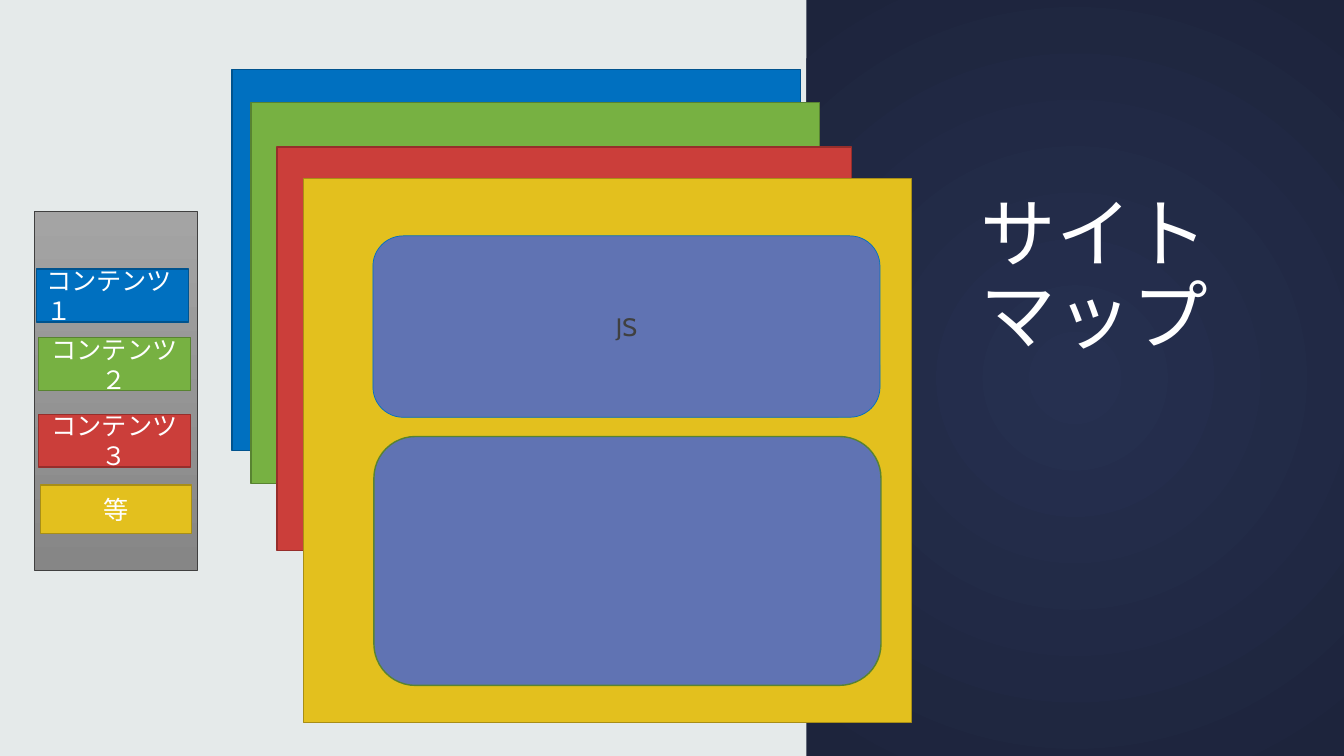
from lxml.etree import SubElement
from pptx import Presentation
from pptx.dml.color import RGBColor
from pptx.enum.lang import MSO_LANGUAGE_ID as Lang
from pptx.enum.shapes import MSO_SHAPE as Shape
from pptx.enum.text import MSO_ANCHOR as Anchor, MSO_AUTO_SIZE as Fit, PP_ALIGN as Align
from pptx.oxml.ns import qn
from pptx.util import Pt

rgb = RGBColor.from_string


def draw(kind, box, fill, edge=None, width=1, text="", ink="FFFFFF", align=Align.CENTER):
    """Add a shape; a list as fill means top-to-bottom gradient colours."""
    item = slide.shapes.add_shape(kind, *map(Pt, box))
    item.shadow.inherit = False
    if isinstance(fill, list):
        item.fill.gradient()
        item.fill.gradient_angle = 270
        for stop, tone in zip(item.fill.gradient_stops, fill):
            stop.color.rgb = rgb(tone)
    else:
        item.fill.solid()
        item.fill.fore_color.rgb = rgb(fill)
    if edge:
        item.line.color.rgb = rgb(edge)
        item.line.width = Pt(width)
    else:
        item.line.fill.background()
    if text:
        item.text_frame.text = text
        style(item.text_frame.paragraphs[0], "Cabin", 18, ink, align)
    return item


def style(para, face, size, ink, align):
    para.alignment = align
    font = para.font
    font.name, font.size, font.color.rgb = face, Pt(size), rgb(ink)
    font.language_id = Lang.JAPANESE


deck = Presentation()
deck.slide_width, deck.slide_height = Pt(960), Pt(540)
slide = deck.slides.add_slide(deck.slide_layouts[5])
slide.background.fill.solid()
slide.background.fill.fore_color.rgb = rgb("E5EAEA")

# Dark side panel with a radial gradient, behind the title
panel = draw(Shape.RECTANGLE, (576, 0, 384, 540), ["263050", "1D243C"])
grad = panel.element.spPr.find(qn("a:gradFill"))
grad.remove(grad.find(qn("a:lin")))
ring = SubElement(grad, qn("a:path"), path="circle")
SubElement(ring, qn("a:fillToRect"), l="50000", t="50000", r="50000", b="50000")
title = slide.shapes.title
title.element.addprevious(panel.element)

title.left, title.top, title.width, title.height = map(Pt, (693.4, 121, 257, 139.7))
frame = title.text_frame
frame.text = "サイトマップ"
frame.word_wrap, frame.auto_size = True, Fit.NONE
frame.vertical_anchor = Anchor.BOTTOM
head = frame.paragraphs[0]
head.line_spacing = 0.9
style(head, "Noto Sans CJK JP", 54, "FFFFFF", Align.LEFT)

# Menu buttons share their colours with the stacked pages
draw(Shape.RECTANGLE, (24.5, 151.2, 116.6, 256.3), ["A4A4A4", "868686"], "404040", 0.5)
themes = [
    ("コンテンツ１", "0070C0", "00538E", Align.LEFT,
     (25.9, 192.2, 108.7, 37.8), (165.6, 49.7, 406, 272.2)),
    ("コンテンツ２", "77B142", "588331", Align.CENTER,
     (27.4, 241.2, 108.7, 37.8), (179.3, 73.4, 406, 272.2)),
    ("コンテンツ３", "CB3E3A", "962E2B", Align.CENTER,
     (27.4, 295.9, 108.7, 37.8), (198, 105.1, 410.4, 288)),
    ("等", "E3C01E", "A88E16", Align.CENTER,
     (28.8, 346.3, 108, 34.6), (216.7, 127.4, 434.2, 388.8)),
]
for label, fill, edge, align, button, page in themes:
    draw(Shape.RECTANGLE, button, fill, edge, text=label, align=align)
for label, fill, edge, align, button, page in themes:
    draw(Shape.RECTANGLE, page, fill, edge)

# Blocks on the front page
draw(Shape.ROUNDED_RECTANGLE, (266.4, 168.5, 362.2, 129.6), "6073B3", "0070C0", 0.5, "JS", "404040")
draw(Shape.ROUNDED_RECTANGLE, (267.1, 311.8, 362.2, 177.8), "6073B3", "588331")

deck.save("out.pptx")
